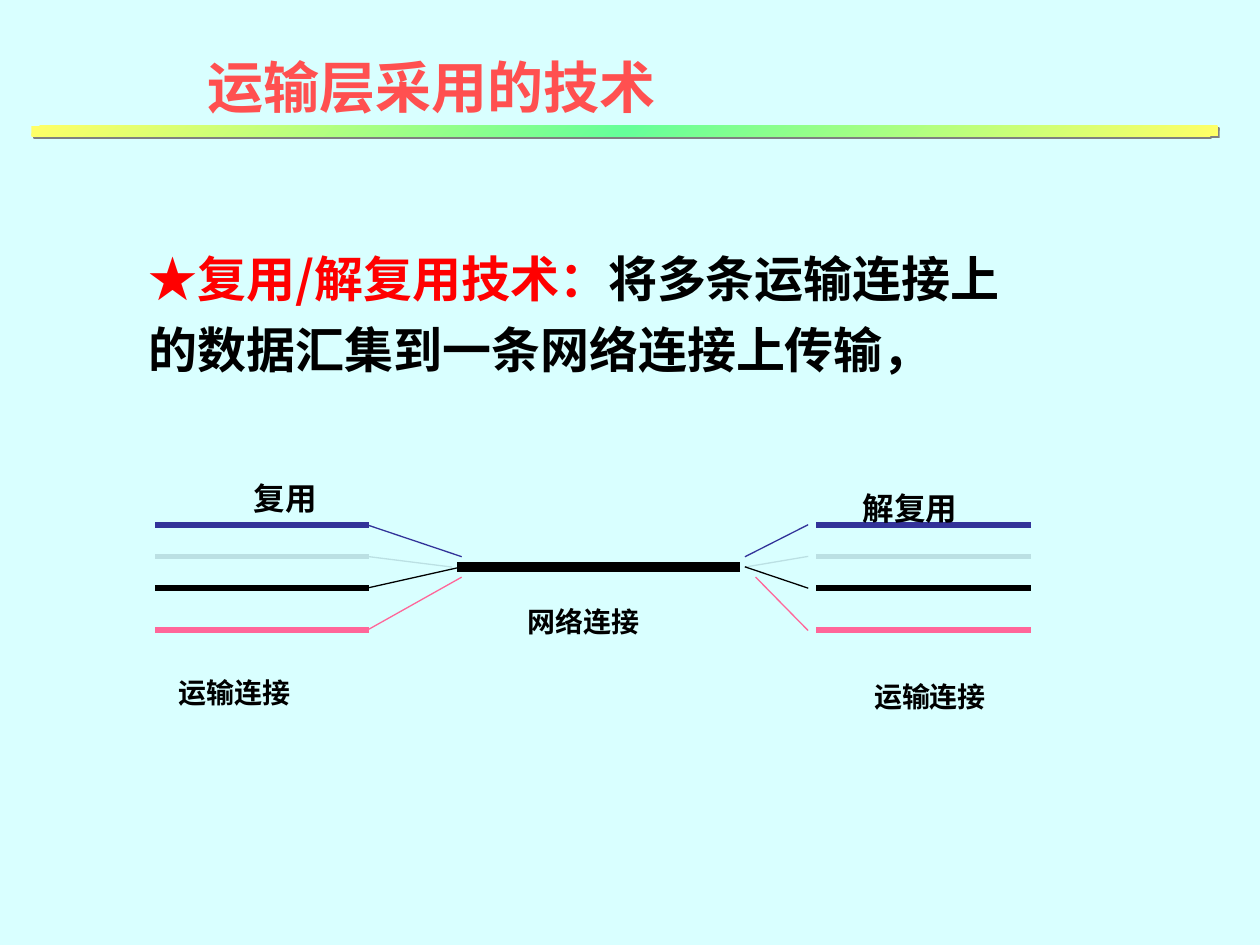
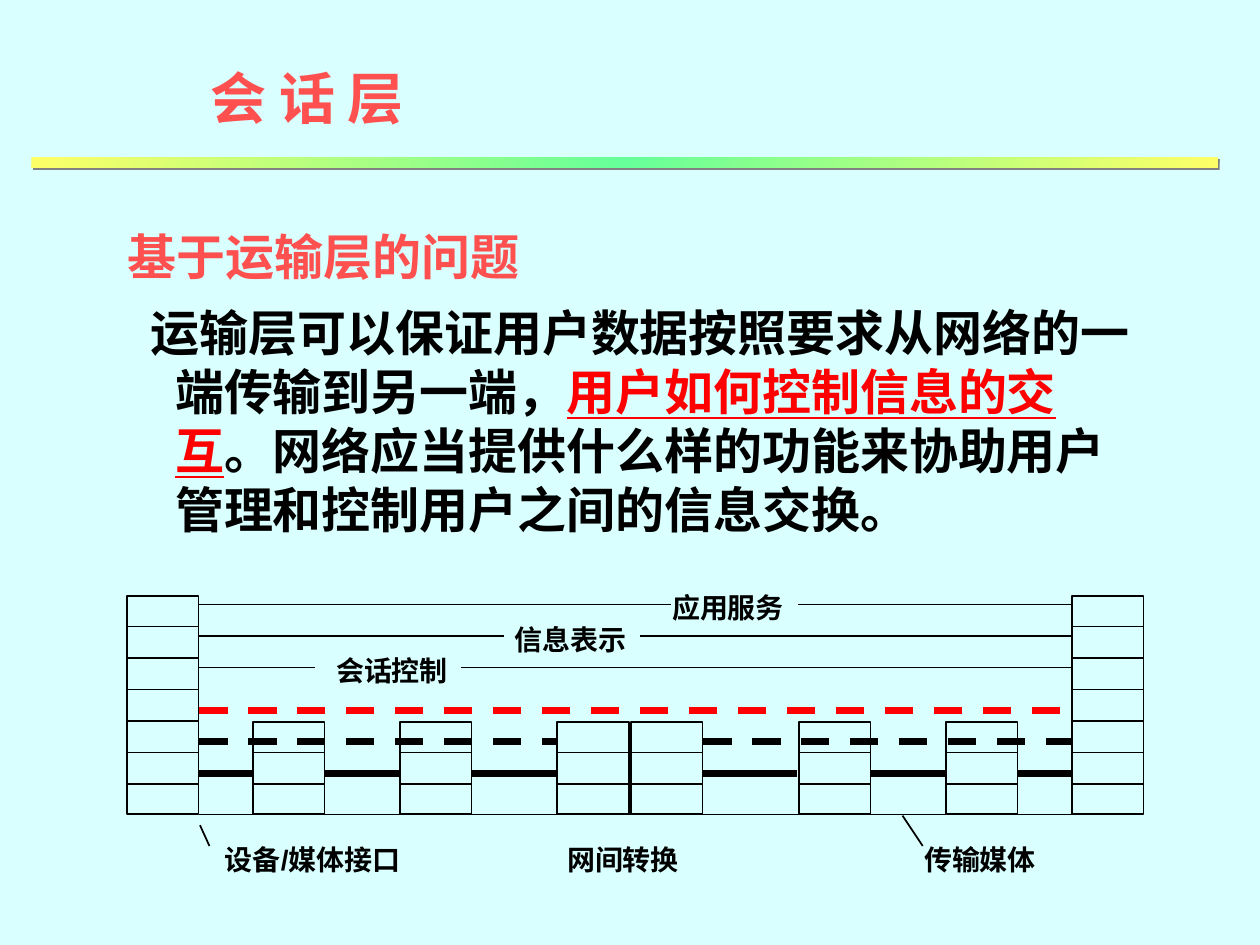
import copy

import pptx
import pptx.dml.color
import pptx.enum.dml
import pptx.enum.shapes
import pptx.enum.text
import pptx.oxml
import pptx.oxml.ns
import pptx.util

Pt = pptx.util.Pt
qn = pptx.oxml.ns.qn
RGBColor = pptx.dml.color.RGBColor
RECT = pptx.enum.shapes.MSO_SHAPE.RECTANGLE
DASH = pptx.enum.dml.MSO_LINE.DASH

SKY = RGBColor(0xD9, 0xFF, 0xFF)
CORAL = RGBColor(0xFF, 0x50, 0x50)
RED = RGBColor(0xFF, 0, 0)
BLACK = RGBColor(0, 0, 0)
INDIGO = RGBColor(0x33, 0x33, 0x99)
PALE = RGBColor(0xBB, 0xE0, 0xE3)
PINK = RGBColor(0xFF, 0x66, 0x99)
YELLOW = RGBColor(0xFF, 0xFF, 0x66)
GREEN = RGBColor(0x66, 0xFF, 0x99)
SANS, SERIF, LABEL = "Noto Sans CJK SC", "Times New Roman", "Arial"
LINE_HEIGHT = 1.2  # line pitch as a multiple of the font size
SHADOW = ('<a:outerShdw xmlns:a="http://schemas.openxmlformats.org/drawingml/2006/main" '
          'blurRad="0" dist="17780" dir="2700000" algn="ctr">'
          '<a:srgbClr val="808080"/></a:outerShdw>')


def fill_text(sp, box, paragraphs, size, spacing=1.0, wrap=False):
    """Place sp and write paragraphs, each a list of (text, font, colour) runs."""
    sp.left, sp.top, sp.width, sp.height = [Pt(v) for v in box]
    tf = sp.text_frame
    tf.word_wrap = wrap
    tf.auto_size = pptx.enum.text.MSO_AUTO_SIZE.NONE if wrap else pptx.enum.text.MSO_AUTO_SIZE.SHAPE_TO_FIT_TEXT
    tf.vertical_anchor = pptx.enum.text.MSO_ANCHOR.TOP
    for i, runs in enumerate(paragraphs):
        p = tf.add_paragraph() if i else tf.paragraphs[0]
        p.alignment = pptx.enum.text.PP_ALIGN.LEFT
        p.line_spacing = Pt(round(size * LINE_HEIGHT * spacing, 1))
        for text, font, colour in runs:
            r = p.add_run()
            r.text = text
            r.font.name, r.font.size, r.font.bold = font, Pt(size), True
            r.font.color.rgb = colour
            ea = pptx.oxml.parse_xml(
                '<a:ea xmlns:a="http://schemas.openxmlformats.org/drawingml/2006/main" '
                f'typeface="{SANS}"/>')
            r.font._element.find(qn("a:latin")).addnext(ea)
    return tf


def add_line(s, x1, y1, x2, y2, colour=BLACK, width=1.0, dash=None):
    cx = s.shapes.add_connector(pptx.enum.shapes.MSO_CONNECTOR.STRAIGHT,
                                Pt(x1), Pt(y1), Pt(x2), Pt(y2))
    cx.line.color.rgb = colour
    cx.line.width = Pt(width)
    if dash:
        cx.line.dash_style = dash
    cx._element.spPr.find(qn("a:ln")).set("cap", "sq")
    cx._element.spPr.append(pptx.oxml.parse_xml(
        '<a:effectLst xmlns:a="http://schemas.openxmlformats.org/drawingml/2006/main"/>'))


prs = pptx.Presentation()
prs.slide_width, prs.slide_height = Pt(720), Pt(540)
bg = prs.slide_master.background.fill
bg.solid()
bg.fore_color.rgb = SKY

# Shared frame: title and gradient band
slides = []
for title, box, spacing, band_top in [
    ("运输层采用的技术", (111.5, 15, 300, 57.5), 1.3, 72),
    ("会 话 层", (113, 32.5, 142.5, 46), 1.0, 90),
]:
    s = prs.slides.add_slide(prs.slide_layouts[5])
    # Wrapping in a box with room to spare keeps the title flush left on one line
    fill_text(s.shapes.title, box, [[(title, SANS, CORAL)]], 32, spacing, wrap=True)
    band = s.shapes.add_shape(RECT, Pt(18), Pt(band_top), Pt(678), Pt(6))
    band.line.fill.background()
    band.fill.gradient()
    band.fill.gradient_angle = 135
    first, middle = band.fill.gradient_stops
    first.color.rgb, first.position = YELLOW, 0
    middle.color.rgb, middle.position = GREEN, 0.5
    stops = band._element.spPr.find(".//" + qn("a:gsLst"))
    last = copy.deepcopy(stops[0])
    last.set("pos", "100000")
    stops.append(last)
    band.shadow.inherit = False
    band._element.spPr.find(qn("a:effectLst")).append(pptx.oxml.parse_xml(SHADOW))
    slides.append(s)

# Slide 1: definition of multiplexing
s = slides[0]
fill_text(s.shapes.add_textbox(0, 0, 0, 0), (78, 132, 504, 88), [[
    ("★", SERIF, RED),
    ("复用/解复用技术：", SANS, RED),
    ("将多条运输连接上的数据汇集到一条网络连接上传输，", SANS, BLACK),
]], 28, 1.2, wrap=True)

# Transport connections joining and leaving the network connection
for colour, y, (join_x, join_y), (leave_x, leave_y) in [
    (INDIGO, 300, (263.5, 318), (426, 318)),
    (PALE, 318, (258, 324), (426, 324)),
    (BLACK, 336, (263.5, 324), (426, 324)),
    (PINK, 360, (263.5, 330), (432, 330)),
]:
    for x in (90, 468):
        add_line(s, x, y, x + 119.5, y, colour, 3)
    add_line(s, 210, y, join_x, join_y, colour, 0.75)
    add_line(s, leave_x, leave_y, 461.5, y, colour, 0.75)
add_line(s, 264, 324, 420, 324, BLACK, 6)

for text, x, y, w, size in [
    ("运输连接", 95, 382.5, 78, 16),
    ("运输连接", 492.5, 384.5, 78, 16),
    ("网络连接", 294.5, 342, 78, 16),
    ("复用", 138, 270, 50.5, 18),
    ("解复用", 486, 276, 68.5, 18),
]:
    fill_text(s.shapes.add_textbox(0, 0, 0, 0), (x, y, w, size * 1.2 + 7.2),
              [[(text, SERIF, BLACK)]], size)

# Slide 2: the question left open by the transport layer
s = slides[1]
tf = fill_text(s.shapes.add_textbox(0, 0, 0, 0), (66, 126, 588, 264), [
    [("基于运输层的问题", SANS, CORAL)],
    [("运输层可以保证用户数据按照要求从网络的一端传输到另一端，", SANS, BLACK),
     ("用户如何控制信息的交互", SANS, RED),
     ("。网络应当提供什么样的功能来协助用户管理和控制用户之间的信息交换。", SANS, BLACK)],
], 28, wrap=True)
heading, question = tf.paragraphs
heading.space_after = Pt(3)
question.space_before = Pt(7)
question.runs[1].font.underline = True
pPr = question._p.get_or_add_pPr()
pPr.set("marL", str(Pt(27)))
pPr.set("indent", str(Pt(-14)))
pPr.set("hangingPunct", "0")

# Layer stacks: seven layers at the end systems, three in the relays
BOTTOM, LAYER = 465, 18
for x, layers in [(72.5, 7), (612.5, 7), (144.5, 3), (228.5, 3),
                  (456.5, 3), (540.5, 3), (318.5, 3), (360.5, 3)]:
    top = BOTTOM - layers * LAYER + 1.5
    stack = s.shapes.add_shape(RECT, Pt(x), Pt(top), Pt(41), Pt(BOTTOM - top))
    stack.fill.background()
    stack.line.color.rgb = BLACK
    stack.line.width = Pt(1)
    stack.shadow.inherit = False
    for i in range(1, layers):
        y = BOTTOM + 1 - i * LAYER
        add_line(s, x, y, x + 40.5, y)

# Links of the lower layers
add_line(s, 114.5, 465.5, 617, 465.5)
for x1, x2 in [(116, 142), (188, 226), (272, 316),
               (404, 453.5), (500, 538), (584, 610)]:
    add_line(s, x1, 442, x2, 442, width=4)
for x1, x2, y, colour in [(116, 316, 424, BLACK), (404, 610, 424, BLACK),
                          (116, 610, 406, RED)]:
    add_line(s, x1, y, x2, y, colour, 4, DASH)

# Links of the upper layers, broken by their labels
for y, gap_left, gap_right in [(381.5, 179.5, 264), (363.5, 287.5, 366.5),
                               (345.5, 383, 456.5)]:
    add_line(s, 114.5, y, gap_left, y)
    add_line(s, gap_right, y, 611.5, y)

# Labels and their leader lines
for text, x, y, w in [
    ("会话控制", 185, 370, 78.5),
    ("信息表示", 287, 352, 78.5),
    ("应用服务", 377, 334, 78.5),
    ("设备/媒体接口", 121.5, 478, 122.5),
    ("网间转换", 317, 478, 78.5),
    ("传输媒体", 521, 478, 78.5),
]:
    fill_text(s.shapes.add_textbox(0, 0, 0, 0), (x, y, w, 26),
              [[(text, LABEL, BLACK)]], 16)
add_line(s, 114.5, 472, 119.5, 483)
add_line(s, 516, 466.5, 527, 483)

prs.save("out.pptx")
